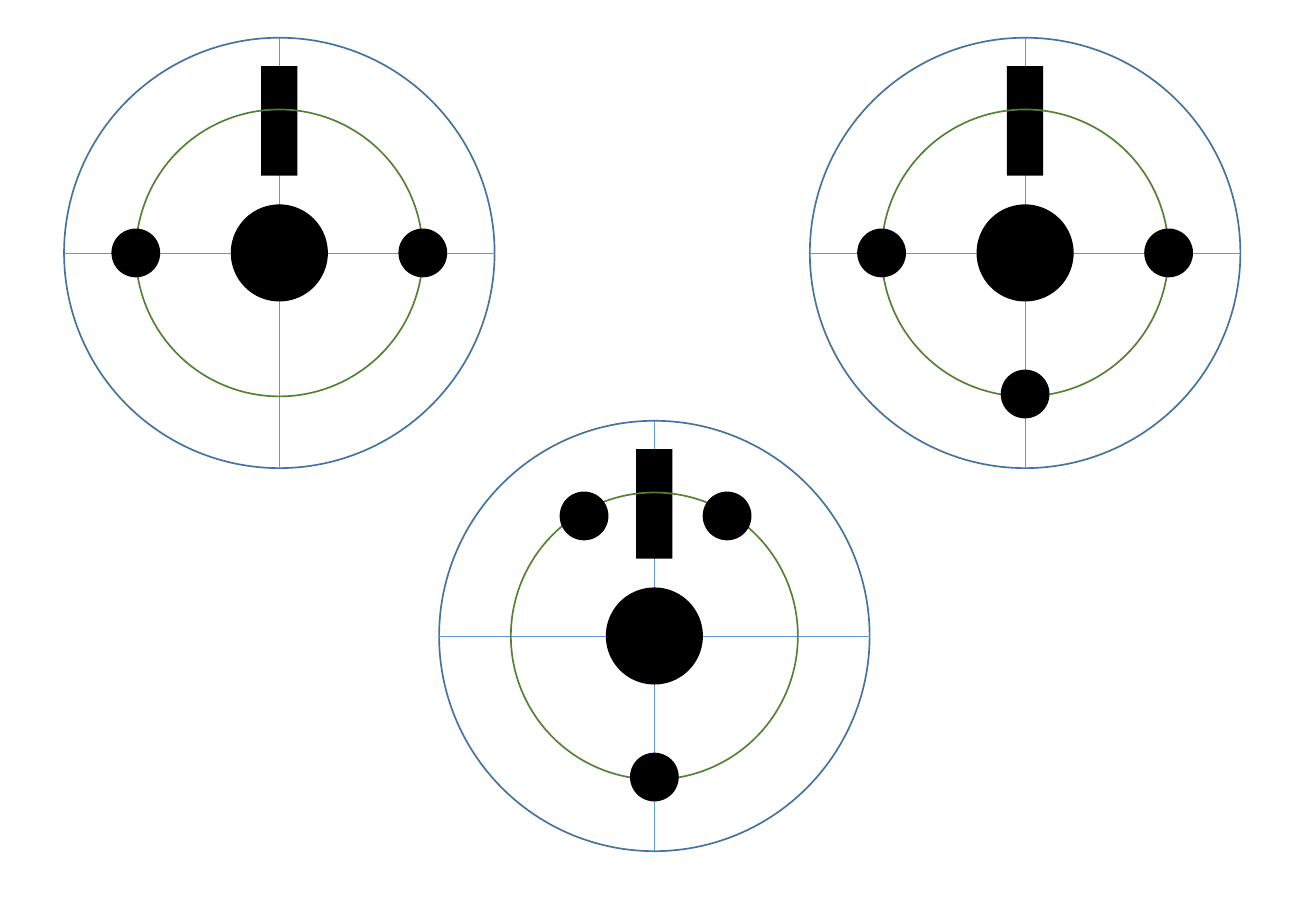
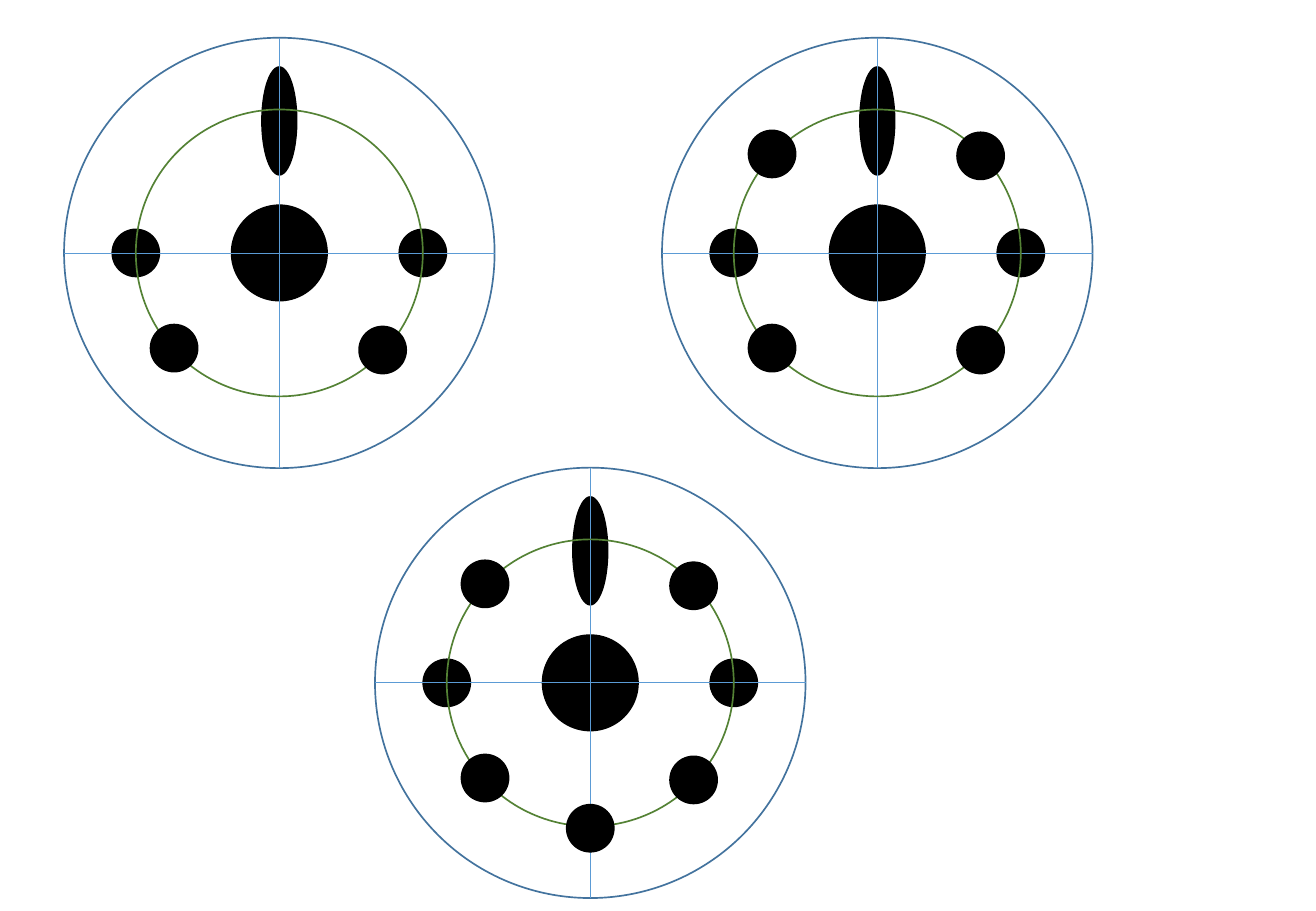
"""Draw two slides of round dials with a hub, a pointer and dots on a ring."""
from lxml import etree
from pptx import Presentation
from pptx.dml.color import RGBColor
from pptx.enum.shapes import MSO_CONNECTOR as Link, MSO_SHAPE as Kind
from pptx.oxml.ns import qn
from pptx.util import Cm, Pt

BLACK, BLUE, SKY, GREEN = "000000", "43739E", "5B9BD5", "548235"
RIM, RING, HUB, DOT = 9, 6, 2.03, 1.02
WIDE, TALL, RISE = 0.76, 2.29, 2.76


def draw(slide, x, y, wide, tall, kind=Kind.OVAL, fill=None, line=None):
    shape = slide.shapes.add_shape(
        kind, Cm(x - wide / 2), Cm(y - tall / 2), Cm(wide), Cm(tall))
    shape.shadow.inherit = False
    if fill:
        shape.fill.solid()
        shape.fill.fore_color.rgb = RGBColor.from_string(fill)
    else:
        shape.fill.background()
    if line:
        shape.line.color.rgb = RGBColor.from_string(line)
        shape.line.width = Pt(1)
    else:
        shape.line.fill.background()


def rule(slide, x, y, dx, dy):
    link = slide.shapes.add_connector(
        Link.STRAIGHT, Cm(x - dx), Cm(y - dy), Cm(x + dx), Cm(y + dy))
    link.line.color.rgb = RGBColor.from_string(SKY)
    link.line.width = Pt(0.5)
    etree.SubElement(link._element.spPr, qn("a:effectLst"))


sides = [(-3, 0), (3, 0)]
foot = [(0, 2.95)]
brow = [(-1.47, -2.51), (1.52, -2.51)]
low = [(2.16, 2.03), (-2.2, 1.99)]
high = [(2.16, -2.03), (-2.2, -2.07)]
base = [(0, 3.04)]

pages = [
    (Kind.RECTANGLE, ["grid", "core"], [], [
        (5.84, 5.29, sides),
        (21.43, 5.29, sides + foot),
        (13.68, 13.3, brow + foot)]),
    (Kind.OVAL, ["core", "grid"], sides, [
        (5.84, 5.29, low),
        (18.34, 5.29, low + high),
        (12.34, 14.28, low + high + base)]),
]

prs = Presentation()
prs.slide_width, prs.slide_height = Cm(27.51), Cm(19.05)

for kind, order, under, dials in pages:
    slide = prs.slides.add_slide(prs.slide_layouts[6])
    for x, y, over in dials:
        for layer in order:
            if layer == "grid":
                draw(slide, x, y, RIM, RIM, line=BLUE)
                rule(slide, x, y, RIM / 2, 0)
                rule(slide, x, y, 0, RIM / 2)
            else:
                draw(slide, x, y, HUB, HUB, fill=BLACK)
                draw(slide, x, y - RISE, WIDE, TALL, kind, fill=BLACK)
                for dx, dy in under:
                    draw(slide, x + dx, y + dy, DOT, DOT, fill=BLACK)
        draw(slide, x, y, RING, RING, line=GREEN)
        for dx, dy in over:
            draw(slide, x + dx, y + dy, DOT, DOT, fill=BLACK)

prs.save("out.pptx")
